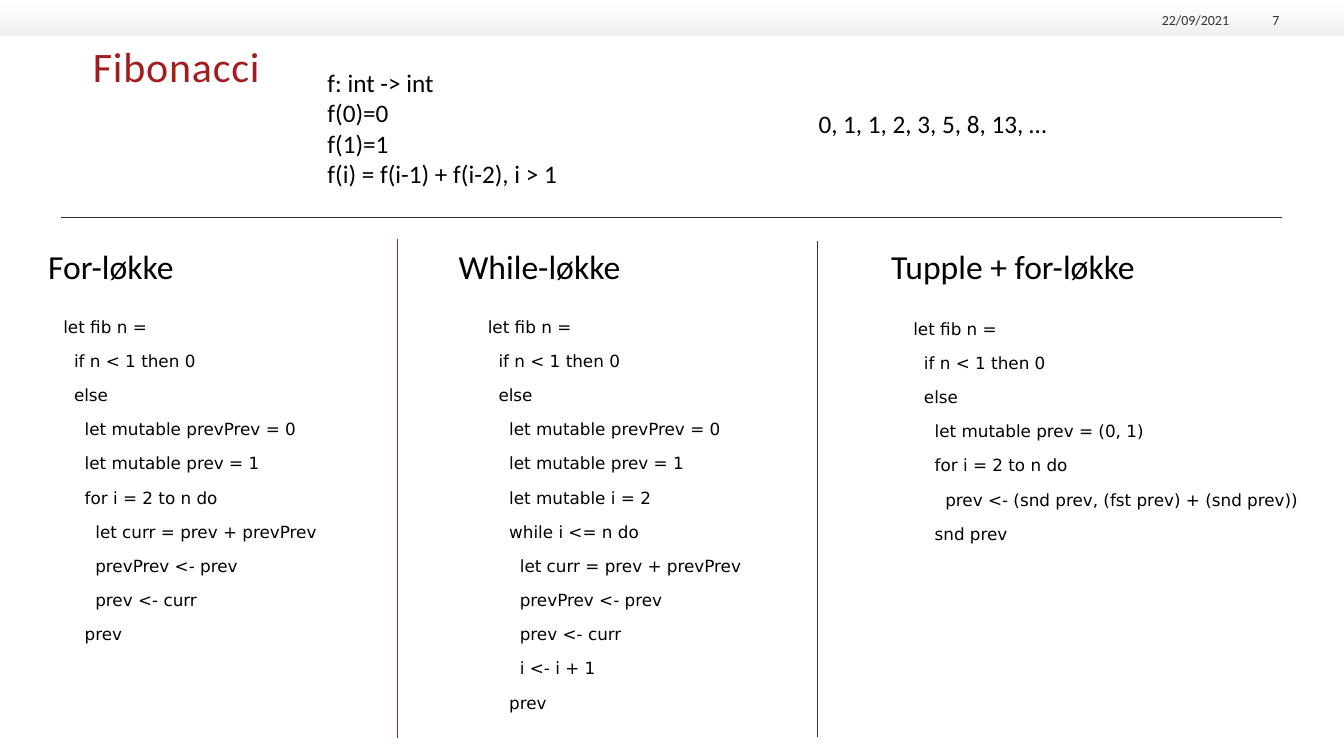
from pptx import Presentation, util as u
from pptx.dml.color import RGBColor
from pptx.enum import shapes, text
from pptx.oxml.ns import qn
from lxml import etree

RED, BLACK, GREY = "A31D20", "000000", "333333"


def px(n):
    return u.Emu(n * 9144)


def hue(code):
    return RGBColor.from_string(code)


def style(frame, words, size, color=BLACK, font="Calibri", gap=0,
          align=text.PP_ALIGN.LEFT, anchor=text.MSO_ANCHOR.TOP,
          inset=(10, 5), wrap=True):
    frame.auto_size = text.MSO_AUTO_SIZE.NONE
    frame.word_wrap = wrap
    frame.vertical_anchor = anchor
    frame.margin_left = frame.margin_right = px(inset[0])
    frame.margin_top = frame.margin_bottom = px(inset[1])
    for i, line in enumerate(words.split("\n")):
        para = frame.add_paragraph() if i else frame.paragraphs[0]
        para.alignment = align
        para.space_before = u.Pt(gap if i else 0)
        run = para.add_run()
        run.text = line
        run.font.size = u.Pt(size)
        run.font.name = font
        run.font.color.rgb = hue(color)


def write(slide, box, words, size, **form):
    shape = slide.shapes.add_textbox(*map(px, box))
    style(shape.text_frame, words, size, **form)


def rule(slide, x1, y1, x2, y2, color):
    line = slide.shapes.add_connector(shapes.MSO_CONNECTOR.STRAIGHT,
                                      *map(px, (x1, y1, x2, y2)))
    line.line.color.rgb = hue(color)
    line.line.width = u.Pt(0.5)
    etree.SubElement(line._element.spPr, qn("a:effectLst"))


def band(slide, x, y, w, h):
    bar = slide.shapes.add_shape(shapes.MSO_SHAPE.RECTANGLE,
                                 *map(px, (x, y, w, h)))
    bar.shadow.inherit = False
    bar.line.fill.background()
    bar.fill.gradient()
    bar.fill.gradient_angle = 270
    for stop, color in zip(bar.fill.gradient_stops, ("FFFFFF", "EFF0EF")):
        stop.color.rgb = hue(color)
    for left, wide, words in ((1130, 89, "22/09/2021"), (1227, 42, "7")):
        write(slide, (x + left, y + 9, wide, 19), words, 10, color=GREY,
              align=text.PP_ALIGN.RIGHT, anchor=text.MSO_ANCHOR.BOTTOM,
              inset=(0, 0))


def head(slide, x, y, w, h):
    title = slide.shapes.title
    title.left, title.top, title.width, title.height = map(px, (x, y, w, h))
    style(title.text_frame, "Fibonacci", 30, color=RED, inset=(0, 0))
    run = title.text_frame.paragraphs[0].runs[0]
    run.font._element.set("spc", "60")


def facts(slide, x, y):
    write(slide, (x, y, 280, 131), RULES, 18, wrap=False)
    write(slide, (x + 487, y + 41, 267, 40), "0, 1, 1, 2, 3, 5, 8, 13, …", 18,
          wrap=False)


def column(slide, x, y, w, name, code, dx, dy, wide):
    write(slide, (x, y, w, 50), name, 24, wrap=False)
    write(slide, (x + dx, y + dy, wide, 441), code, 12, font="DejaVu Sans",
          gap=10)


RULES = """f: int -> int
f(0)=0
f(1)=1
f(i) = f(i-1) + f(i-2), i > 1"""

START = """let fib n =
  if n < 1 then 0
  else
"""

PAIR = """    let mutable prevPrev = 0
    let mutable prev = 1
"""

STEP = """      let curr = prev + prevPrev
      prevPrev <- prev
      prev <- curr
"""

FOR = START + PAIR + "    for i = 2 to n do\n" + STEP + "    prev"

WHILE = (START + PAIR + "    let mutable i = 2\n    while i <= n do\n"
         + STEP + "      i <- i + 1\n    prev")

TUPLE = START + """    let mutable prev = (0, 1)
    for i = 2 to n do
      prev <- (snd prev, (fst prev) + (snd prev))
    snd prev"""


def main():
    deck = Presentation()
    deck.slide_width, deck.slide_height = px(1333), px(750)
    slide = deck.slides.add_slide(deck.slide_layouts[5])
    band(slide, 0, 0, 1333, 36)
    head(slide, 92, 40, 1150, 44)
    facts(slide, 315, 62)
    rule(slide, 61, 216, 1272, 216, GREY)
    rule(slide, 394, 237, 394, 732, RED)
    rule(slide, 811, 239, 811, 731, GREY)
    column(slide, 38, 239, 177, "For-løkke", FOR, 15, 70, 331)
    column(slide, 445, 239, 182, "While-løkke", WHILE, 29, 70, 308)
    column(slide, 874, 239, 264, "Tupple + for-løkke", TUPLE, 22, 72, 479)
    deck.save("out.pptx")


if __name__ == "__main__":
    main()
